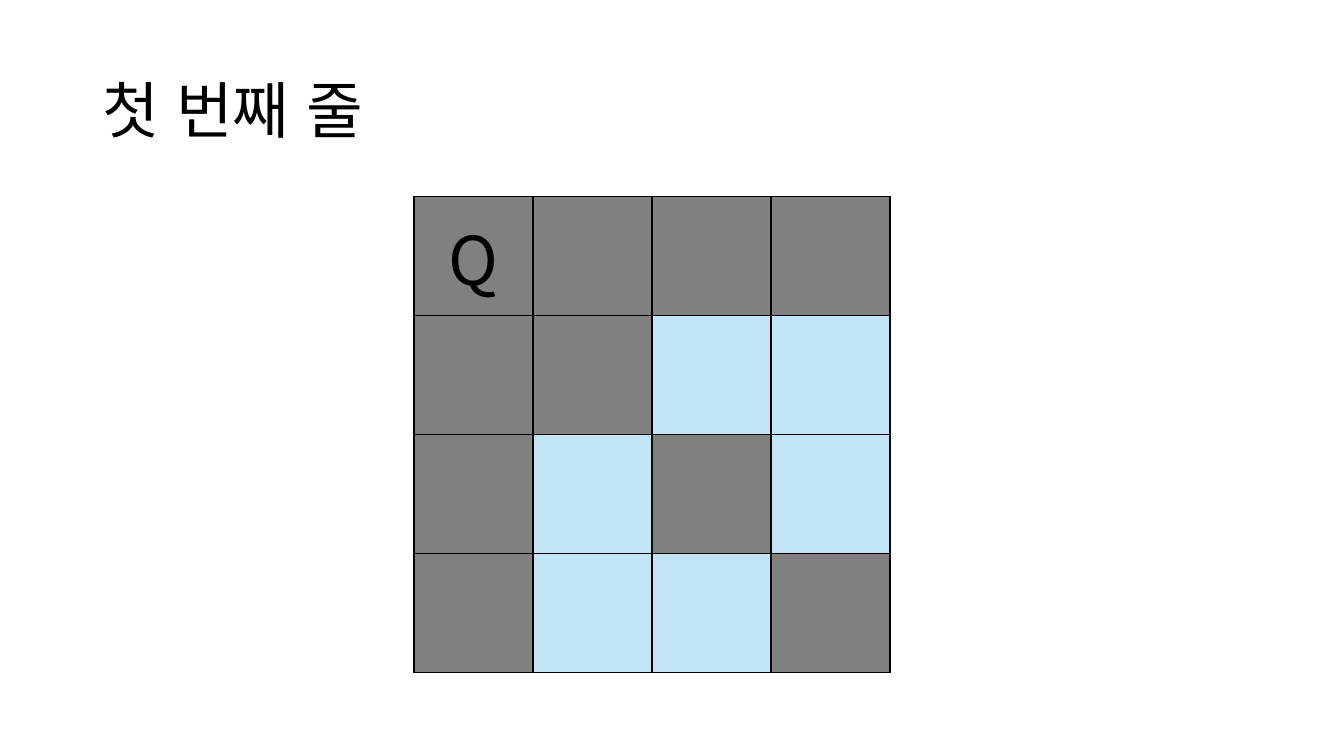
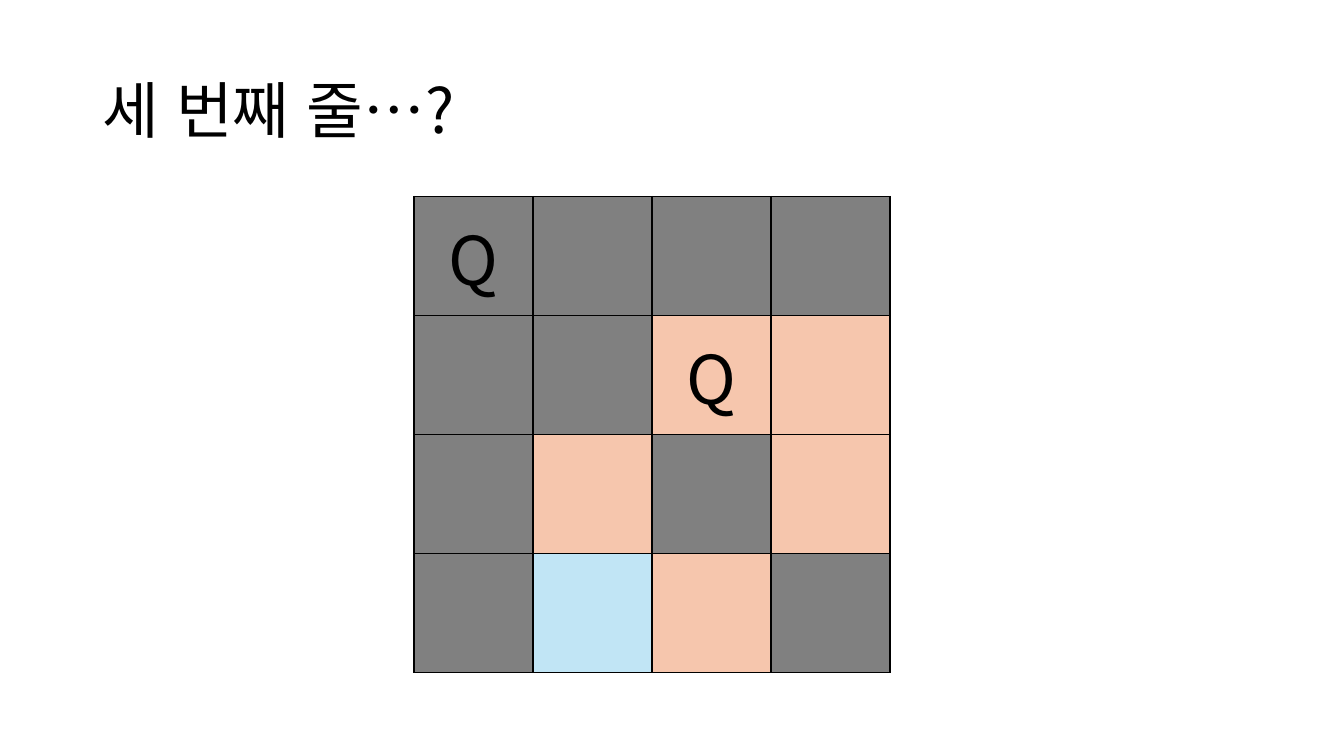
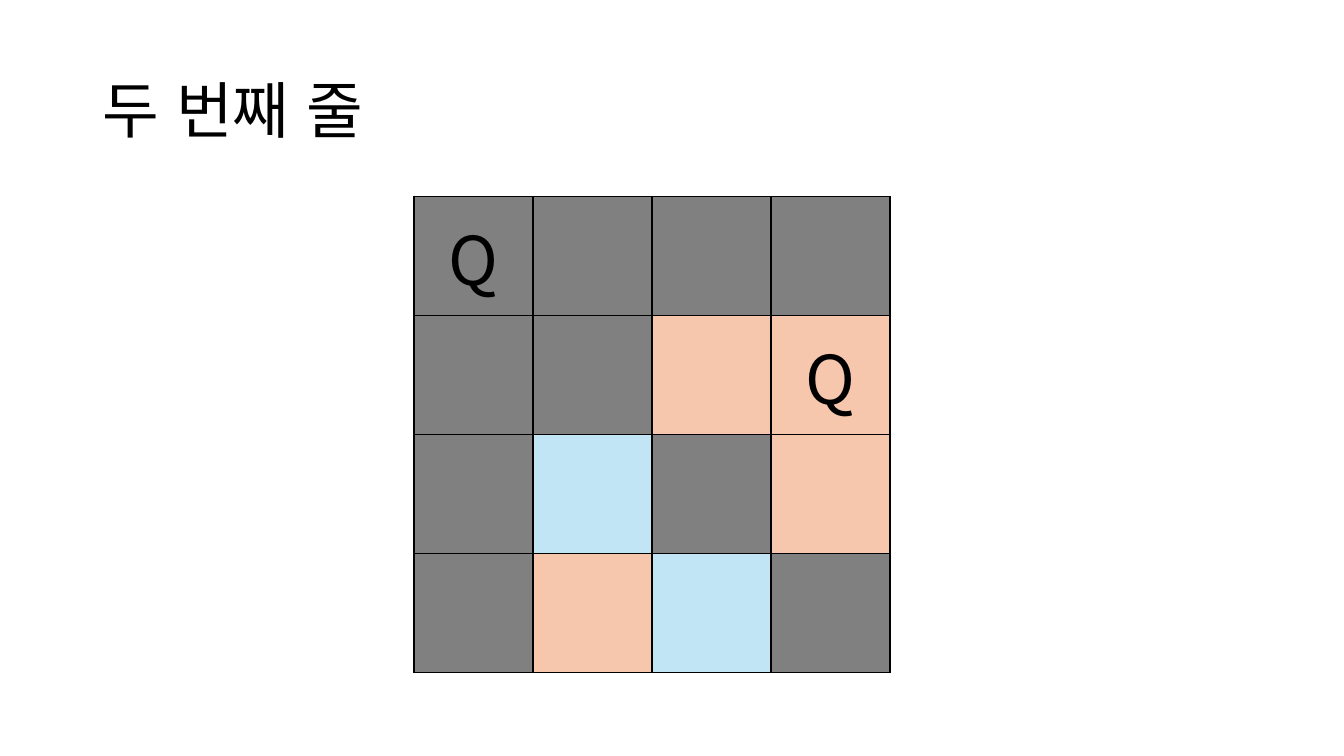
from dataclasses import dataclass

from lxml import etree
from pptx import Presentation
from pptx.dml.color import RGBColor
from pptx.enum.text import MSO_ANCHOR, PP_ALIGN
from pptx.oxml.ns import qn
from pptx.util import Pt

MIDDLE = MSO_ANCHOR.MIDDLE
CENTER = PP_ALIGN.CENTER
BLANK = 6
SIDE = 4
CELL = 85


@dataclass(frozen=True)
class Theme:
    font: str = "Noto Sans CJK KR"
    ink: str = "000000"
    free: str = "C1E5F5"
    shades: tuple = ("808080", "F6C6AD")
    title: int = 44
    queen: int = 48
    line: int = 1


THEME = Theme()

SLIDES = [
    ("첫 번째 줄", [(0, 0)]),
    ("세 번째 줄…?", [(0, 0), (1, 2)]),
    ("두 번째 줄", [(0, 0), (1, 3)]),
]


def style(para, size):
    for run in para.runs:
        font = run.font
        font.size = Pt(size)
        font.name = THEME.font
        font.color.rgb = RGBColor.from_string(THEME.ink)
        props = run._r.get_or_add_rPr()
        props.set("lang", "ko-KR")
        etree.SubElement(props, qn("a:ea"), typeface=THEME.font)


def add_title(slide, text):
    box = slide.shapes.add_textbox(Pt(66), Pt(28.75), Pt(828), Pt(104.4))
    frame = box.text_frame
    frame.word_wrap = True
    frame.vertical_anchor = MIDDLE
    frame.text = text
    para = frame.paragraphs[0]
    para.line_spacing = 0.9
    style(para, THEME.title)


def add_edges(cell):
    props = cell._tc.get_or_add_tcPr()
    for side in ("lnL", "lnR", "lnT", "lnB"):
        edge = etree.SubElement(props, qn(f"a:{side}"), w=str(Pt(THEME.line)))
        fill = etree.SubElement(edge, qn("a:solidFill"))
        etree.SubElement(fill, qn("a:srgbClr"), val=THEME.ink)


def hits(queen, row, col):
    down, over = row - queen[0], col - queen[1]
    return down == 0 or over == 0 or abs(down) == abs(over)


def shade(queens, row, col):
    for queen, color in zip(queens, THEME.shades):
        if hits(queen, row, col):
            return color
    return THEME.free


def fill_cell(cell, color, text):
    add_edges(cell)
    cell.fill.solid()
    cell.fill.fore_color.rgb = RGBColor.from_string(color)
    cell.vertical_anchor = MIDDLE
    if text:
        cell.text_frame.text = text
        para = cell.text_frame.paragraphs[0]
        para.alignment = CENTER
        style(para, THEME.queen)


def add_board(slide, queens):
    size = Pt(SIDE * CELL)
    table = slide.shapes.add_table(
        SIDE, SIDE, Pt(295.75), Pt(140.3), size, size).table
    table.first_row = False
    table.horz_banding = False
    for row in range(SIDE):
        table.rows[row].height = Pt(CELL)
        table.columns[row].width = Pt(CELL)
        for col in range(SIDE):
            text = "Q" if (row, col) in queens else ""
            fill_cell(table.cell(row, col), shade(queens, row, col), text)


def main():
    deck = Presentation()
    deck.slide_width, deck.slide_height = Pt(960), Pt(540)
    for title, queens in SLIDES:
        slide = deck.slides.add_slide(deck.slide_layouts[BLANK])
        add_title(slide, title)
        add_board(slide, queens)
    deck.save("out.pptx")


if __name__ == "__main__":
    main()
